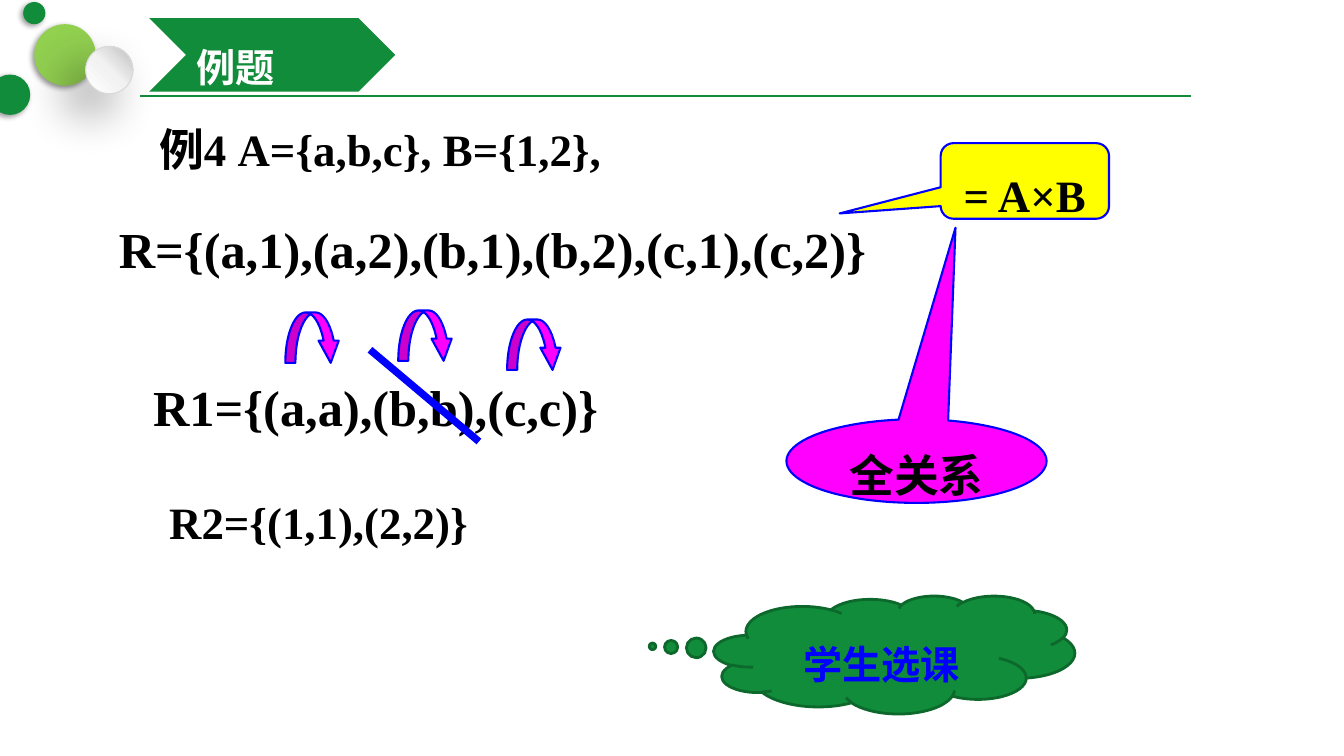
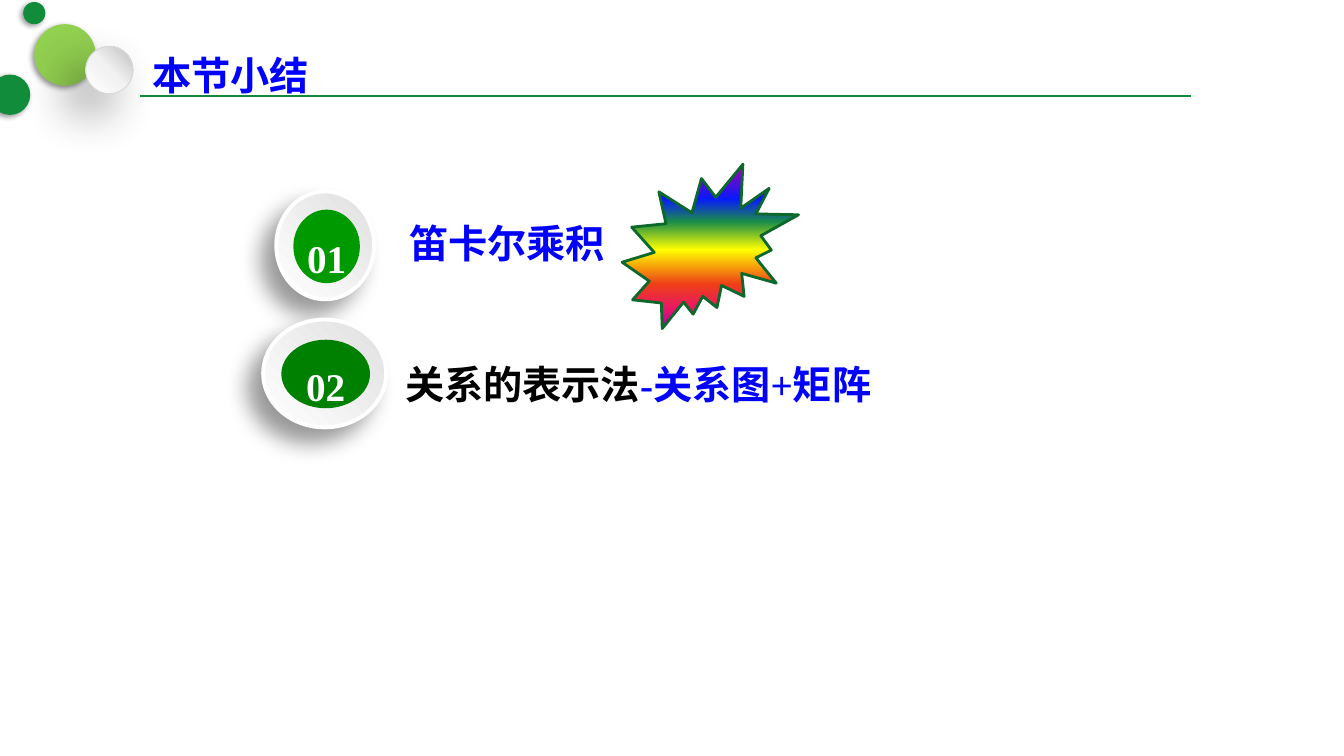
import pptx
import pptx.util
import pptx.dml.color
import pptx.enum.shapes
import pptx.enum.text
import pptx.oxml.ns
from lxml import etree

Inches = pptx.util.Inches
Pt = pptx.util.Pt
rgb = pptx.dml.color.RGBColor.from_string
qn = pptx.oxml.ns.qn
MSO = pptx.enum.shapes.MSO_SHAPE
STRAIGHT = pptx.enum.shapes.MSO_CONNECTOR.STRAIGHT
ANCHOR = pptx.enum.text.MSO_ANCHOR
NO_FIT = pptx.enum.text.MSO_AUTO_SIZE.NONE
LEFT = pptx.enum.text.PP_ALIGN.LEFT
CENTER = pptx.enum.text.PP_ALIGN.CENTER

GREEN, DARK_GREEN, LIME = "118C3B", "0D682C", "92D050"
BLUE, MAGENTA, YELLOW = "0000FF", "FF00FF", "FFFF00"
BLACK, WHITE, GREY = "000000", "FFFFFF", "D9D9D9"
SERIF, SANS = "Times New Roman", "Noto Sans CJK SC"
PEARL = (315, [(0, WHITE), (50, "F2F2F2"), (100, "BFBFBF")])
RING = (135, [(0, "E0E0E0"), (100, WHITE)])
RAINBOW = (90, [(0, "A603AB"), (21, "0819FB"), (35, "1A8D48"), (52, YELLOW),
                (73, "EE3F17"), (88, "E81766"), (100, "A603AB")])


def draw(slide, kind, box, fill, line=None, width=1.5, adj=(), shadow=None):
    sp = slide.shapes.add_shape(kind, *[Inches(v) for v in box])
    for i, value in enumerate(adj):
        sp.adjustments[i] = value
    if isinstance(fill, str):
        sp.fill.solid()
        sp.fill.fore_color.rgb = rgb(fill)
    else:
        angle, stops = fill
        sp.fill.gradient()
        sp.fill.gradient_angle = 360 - angle
        stop_list = sp.element.spPr.find(".//" + qn("a:gsLst"))
        for old in list(stop_list):
            stop_list.remove(old)
        for pos, color in stops:
            gs = etree.SubElement(stop_list, qn("a:gs"), pos=str(pos * 1000))
            etree.SubElement(gs, qn("a:srgbClr"), val=color)
    if line:
        sp.line.color.rgb = rgb(line)
        sp.line.width = Pt(width)
    else:
        sp.line.fill.background()
    sp.shadow.inherit = False
    if shadow:
        blur, dist = shadow
        effects = sp.element.spPr.find(qn("a:effectLst"))
        outer = etree.SubElement(effects, qn("a:outerShdw"), blurRad=str(Pt(blur)),
                                 dist=str(Pt(dist)), dir="8100000", algn="tr", rotWithShape="0")
        color = etree.SubElement(outer, qn("a:srgbClr"), val=BLACK)
        etree.SubElement(color, qn("a:alpha"), val="40000")
    return sp


def write(sp, runs, size, align=LEFT, anchor=ANCHOR.MIDDLE, spacing=1.5,
          font=SERIF, inset=(0.1, 0.05), wrap=True):
    tf = sp.text_frame
    tf.word_wrap = wrap
    tf.auto_size = NO_FIT
    tf.vertical_anchor = anchor
    tf.margin_left = tf.margin_right = Inches(inset[0])
    tf.margin_top = tf.margin_bottom = Inches(inset[1])
    p = tf.paragraphs[0]
    p.alignment = align
    p.line_spacing = spacing
    for text, color in runs:
        r = p.add_run()
        r.text = text
        r.font.size = Pt(size)
        r.font.bold = True
        r.font.name = font
        r.font.color.rgb = rgb(color)
        etree.SubElement(r._r.get_or_add_rPr(), qn("a:ea"), typeface=SANS)


prs = pptx.Presentation()
prs.slide_width = Inches(13.33)
prs.slide_height = Inches(7.5)
layout = prs.slide_layouts[5]
example = prs.slides.add_slide(layout)
summary = prs.slides.add_slide(layout)

rule = example.shapes.add_connector(STRAIGHT, Inches(1.39), Inches(0.95), Inches(11.81), Inches(0.95))
rule.line.color.rgb = rgb(GREEN)
rule.line.width = Pt(1.25)
etree.SubElement(rule.element.spPr, qn("a:effectLst"))
decor = [rule]
for x, y, d, fill, line, shadow in [
    (0.34, 0.24, 0.61, LIME, None, (4, 2)),
    (-0.1, 0.74, 0.4, GREEN, None, (4, 2)),
    (0.85, 0.46, 0.47, PEARL, GREY, (35, 20)),
    (0.23, 0.02, 0.22, GREEN, None, (4, 2)),
]:
    decor.append(draw(example, MSO.OVAL, (x, y, d, d), fill, line, 0.75, shadow=shadow))
for i, sp in enumerate(decor):
    sp.element.xpath(".//p:cNvPr")[0].set("id", str(101 + i))
    layout.shapes.element.append(sp.element)

draw(example, MSO.CHEVRON, (1.48, 0.18, 2.44, 0.73), GREEN)
for s, text, color, box, align, anchor in [
    (example, "例题", WHITE, (1.85, 0.18, 1.71, 0.73), LEFT, ANCHOR.MIDDLE),
    (summary, "本节小结", BLUE, (1.4, 0.23, 1.77, 0.74), CENTER, ANCHOR.TOP),
]:
    title = s.shapes.title
    title.left, title.top, title.width, title.height = [Inches(v) for v in box]
    write(title, [(text, color)], 28, align, anchor, font=SANS, wrap=False)
    s.shapes.element.append(title.element)

for text, size, spacing, box in [
    ("例4 A={a,b,c}, B={1,2},", 32, 1, (1.48, 1.16, 6.32, 0.63)),
    ("R={(a,1),(a,2),(b,1),(b,2),(c,1),(c,2)}", 36, 1, (1.08, 2.11, 7.69, 0.71)),
    ("R1={(a,a),(b,b),(c,c)}", 36, 1.5, (1.42, 3.38, 5.43, 0.9)),
    ("R2={(1,1),(2,2)}", 32, 1.5, (1.58, 4.59, 4.93, 0.81)),
]:
    tb = example.shapes.add_textbox(*[Inches(v) for v in box])
    write(tb, [(text, BLACK)], size, anchor=ANCHOR.TOP, spacing=spacing, wrap=spacing > 1)

for kind, box, fill, line, width, adj, text, size, color in [
    (MSO.ROUNDED_RECTANGULAR_CALLOUT, (9.33, 1.42, 1.67, 0.75), YELLOW, BLUE, 1.5,
     (-1.1, 0.43, 0.17), "= A×B", 32, BLACK),
    (MSO.OVAL_CALLOUT, (7.8, 4.16, 2.58, 0.83), MAGENTA, BLUE, 1.5,
     (0.15, -2.79), "全关系", 32, BLACK),
    (MSO.CLOUD_CALLOUT, (7.08, 5.91, 3.58, 1.17), GREEN, DARK_GREEN, 2,
     (-0.67, -0.07), "学生选课", 28, BLUE),
]:
    sp = draw(example, kind, box, fill, line, width, adj)
    write(sp, [(text, color)], size, CENTER)

for x, y in [(2.83, 3.1), (3.95, 3.08), (5.03, 3.17)]:
    draw(example, MSO.CURVED_DOWN_ARROW, (x, y, 0.55, 0.5), MAGENTA, BLUE, adj=(0.2, 0.4, 0.44))

strike = example.shapes.add_connector(STRAIGHT, Inches(3.67), Inches(3.47), Inches(4.75), Inches(4.38))
strike.line.color.rgb = rgb(BLUE)
strike.line.width = Pt(5.25)
etree.SubElement(strike.element.spPr, qn("a:effectLst"))

for number, ring, disc, color, box, inset, spacing, runs in [
    ("01", (2.74, 1.9, 0.97, 1.07), (2.91, 2.08, 0.66, 0.73), "009900",
     (3.93, 2.08, 5.21, 0.59), 0.13, 1.2, [("笛卡尔乘积", BLUE)]),
    ("02", (2.61, 3.17, 1.22, 1.07), (2.79, 3.37, 0.88, 0.68), "008000",
     (3.92, 3.34, 5.92, 0.71), 0.1, 1.5, [("关系的表示法", BLACK), ("-关系图+矩阵", BLUE)]),
]:
    draw(summary, MSO.OVAL, ring, RING, WHITE, 2.75, shadow=(16, 14))
    badge = draw(summary, MSO.OVAL, disc, color)
    write(badge, [(number, WHITE)], 28, CENTER, inset=(0, 0))
    tb = summary.shapes.add_textbox(*[Inches(v) for v in box])
    write(tb, runs, 28, anchor=ANCHOR.TOP, spacing=spacing, inset=(inset, 0))

draw(summary, MSO.EXPLOSION2, (6.17, 1.63, 1.75, 1.63), RAINBOW, DARK_GREEN, 2)

prs.save("out.pptx")
